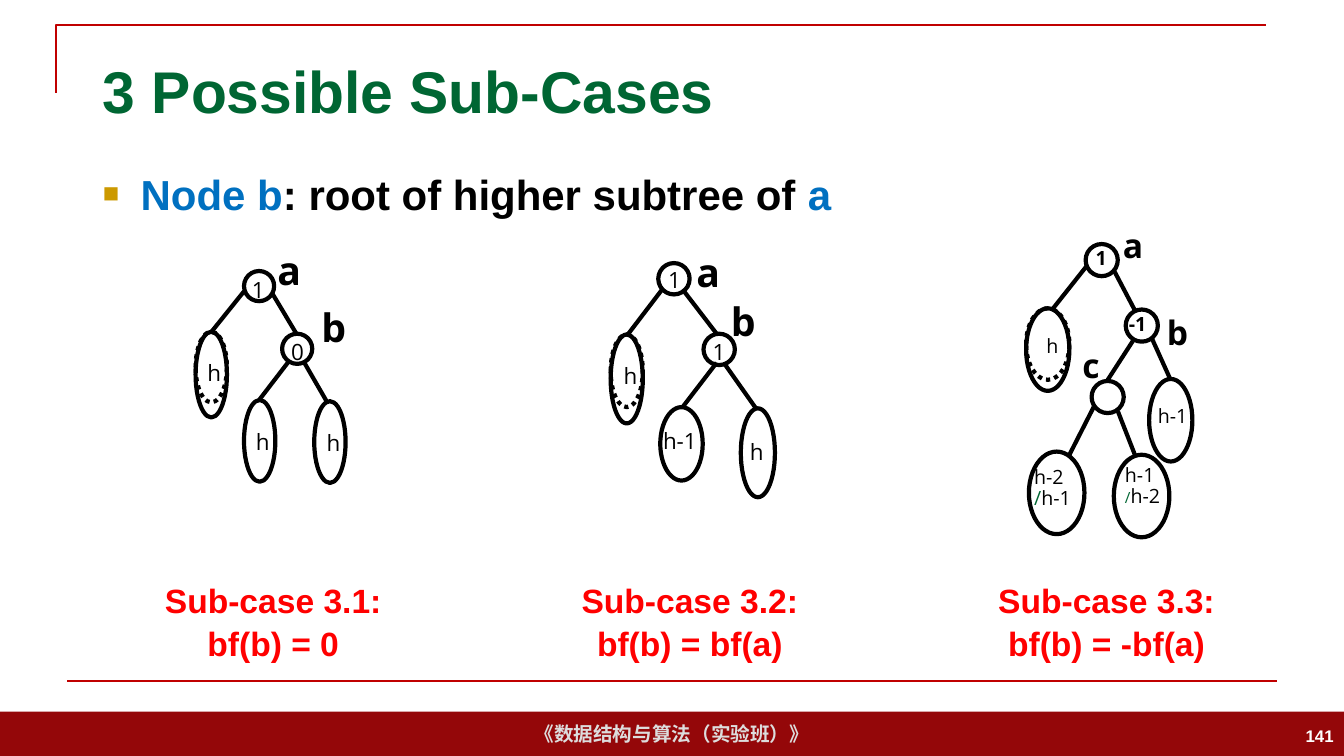
from lxml import etree
from pptx import Presentation
from pptx.dml.color import RGBColor
from pptx.enum.dml import MSO_LINE
from pptx.enum.shapes import MSO_CONNECTOR, MSO_SHAPE
from pptx.enum.text import MSO_ANCHOR, MSO_AUTO_SIZE, PP_ALIGN
from pptx.oxml.ns import qn
from pptx.util import Cm, Pt

STRAIGHT = MSO_CONNECTOR.STRAIGHT
OVAL, RECTANGLE = MSO_SHAPE.OVAL, MSO_SHAPE.RECTANGLE
DOTTED = MSO_LINE.ROUND_DOT
TOP, MIDDLE = MSO_ANCHOR.TOP, MSO_ANCHOR.MIDDLE
LEFT, CENTER, RIGHT = PP_ALIGN.LEFT, PP_ALIGN.CENTER, PP_ALIGN.RIGHT
NO_AUTOFIT = MSO_AUTO_SIZE.NONE

COLORS = {
    "black": "000000", "white": "FFFFFF", "green": "006633", "blue": "0070C0",
    "red": "FF0000", "rule": "C00000", "footer": "940709",
    "footer_text": "DDDDDD", "bullet": "CC9900",
}
HEADING_FONT, TREE_FONT = "Arial", "Open Sans"

TREES = [
    {
        "diameter": 0.76, "value_size": 16, "name_size": 28, "bold_balance": False,
        "nodes": [(6.15, 6.83), (7.11, 8.41)],
        "subtrees": [(4.93, 8.36, 0.79, 2.16), (6.15, 10.08, 0.79, 2.06),
                     (7.92, 10.11, 0.79, 2.06)],
        "dotted_height": 1.78,
        "edges": [(6.15, 7.34, 5.33, 8.36), (6.86, 7.39, 7.47, 8.41),
                  (7.29, 9.09, 6.53, 10.08), (7.67, 9.14, 8.23, 10.11)],
        "balances": [("1", 6.35, 6.96), ("0", 7.34, 8.53)],
        "heights": [("h", 5.23, 9.04), ("h", 6.45, 10.8), ("h", 8.23, 10.82)],
        "names": [("a", 6.99, 6.2), ("b", 8.1, 7.65)],
        "choices": [],
        "caption": "Sub-case 3.1:\nbf(b) = 0",
    },
    {
        "diameter": 0.79, "value_size": 16, "name_size": 28, "bold_balance": False,
        "nodes": [(16.59, 6.63), (17.73, 8.41)],
        "subtrees": [(15.39, 8.43, 0.81, 2.24), (16.64, 10.26, 1.07, 1.85),
                     (18.67, 10.29, 0.86, 2.24)],
        "dotted_height": 1.83,
        "edges": [(16.69, 7.29, 15.82, 8.43), (17.2, 7.29, 18.06, 8.41),
                  (18.06, 9.14, 17.2, 10.26), (18.24, 9.14, 19.05, 10.29)],
        "balances": [("1", 16.84, 6.71), ("1", 17.96, 8.51)],
        "heights": [("h", 15.72, 9.12), ("h-1", 16.71, 10.77), ("h", 18.9, 11.05)],
        "names": [("a", 17.55, 6.25), ("b", 18.42, 7.49)],
        "choices": [],
        "caption": "Sub-case 3.2:\nbf(b) = bf(a)",
    },
    {
        "diameter": 0.81, "value_size": 14, "name_size": 24, "bold_balance": True,
        "nodes": [(27.36, 6.15), (28.37, 7.8), (27.51, 9.6)],
        "subtrees": [(25.86, 7.77, 1.09, 2.08), (28.96, 9.55, 1.09, 2.08),
                     (25.93, 11.38, 1.4, 2.08), (28.07, 11.46, 1.4, 2.08)],
        "dotted_height": 1.8,
        "edges": [(27.38, 6.71, 26.54, 7.77), (28.07, 6.81, 28.6, 7.82),
                  (28.55, 8.59, 27.91, 9.58), (29.03, 8.53, 29.49, 9.55),
                  (27.56, 10.26, 26.95, 11.46), (28.17, 10.36, 28.6, 11.46)],
        "balances": [("1", 27.61, 6.2), ("-1", 28.45, 7.87)],
        "heights": [("h", 26.37, 8.41), ("h-1", 29.18, 10.19)],
        "names": [("a", 28.3, 5.66), ("b", 29.41, 7.85), ("c", 27.28, 8.69)],
        "choices": [("h-2", "h-1", 26.06, 11.79, 14), ("h-1", "h-2", 28.35, 11.73, 11)],
        "caption": "Sub-case 3.3:\nbf(b) = -bf(a)",
    },
]


def rgb(name):
    return RGBColor.from_string(COLORS[name])


def style_font(font, name, size, color, bold=False):
    font.name = name
    font.size = Pt(size)
    font.bold = bold
    font.color.rgb = rgb(color)


def style_line(line, color, width):
    line.color.rgb = rgb(color)
    line.width = Pt(width)


def place(shape, left, top, width, height):
    shape.left, shape.top = Cm(left), Cm(top)
    shape.width, shape.height = Cm(width), Cm(height)


def add_line(shapes, ends, color, width):
    line = shapes.add_connector(STRAIGHT, *[Cm(value) for value in ends])
    style_line(line.line, color, width)
    etree.SubElement(line._element.spPr, qn("a:effectLst"))


def add_oval(shapes, box, dash=None):
    oval = shapes.add_shape(OVAL, *[Cm(value) for value in box])
    oval.shadow.inherit = False
    oval.fill.background()
    style_line(oval.line, "black", 3)
    if dash:
        oval.line.dash_style = dash


def add_text(shapes, text, box, font, align=LEFT, anchor=TOP, inset=0, spacing=None):
    frame = shapes.add_textbox(*[Cm(value) for value in box]).text_frame
    frame.word_wrap = True
    frame.vertical_anchor = anchor
    frame.margin_left = frame.margin_right = Cm(inset)
    frame.margin_top = frame.margin_bottom = Cm(inset / 2)
    frame.text = text
    for paragraph in frame.paragraphs:
        paragraph.alignment = align
        if spacing:
            paragraph.line_spacing = spacing
        for run in paragraph.runs:
            style_font(run.font, *font)
    return frame


def add_label(shapes, label, size, bold=False):
    text, left, top = label
    width = 0.41 if len(text) == 1 else 1.14
    add_text(shapes, text, (left, top, width, 0.69), (TREE_FONT, size, "black", bold))


def add_choice(shapes, choice, size):
    first, second, left, top, slash_size = choice
    frame = add_text(shapes, f"{first}\n/", (left, top, 1.19, 2.16),
                     (TREE_FONT, size, "black"), spacing=0.9)
    paragraph = frame.paragraphs[1]
    style_font(paragraph.runs[0].font, TREE_FONT, slash_size, "green")
    run = paragraph.add_run()
    run.text = second
    style_font(run.font, TREE_FONT, size, "black")


def add_tree(slide, tree):
    shapes = slide.shapes.add_group_shape().shapes
    size, diameter = tree["value_size"], tree["diameter"]
    for edge in tree["edges"]:
        add_line(shapes, edge, "black", 3)
    add_oval(shapes, (*tree["subtrees"][0][:3], tree["dotted_height"]), DOTTED)
    for subtree in tree["subtrees"]:
        add_oval(shapes, subtree)
    for node in tree["nodes"]:
        add_oval(shapes, (*node, diameter, diameter))
    for label in tree["balances"]:
        add_label(shapes, label, size, tree["bold_balance"])
    for label in tree["heights"]:
        add_label(shapes, label, size)
    for label in tree["names"]:
        add_label(shapes, label, tree["name_size"], True)
    for choice in tree["choices"]:
        add_choice(shapes, choice, size)


def add_frame(slide):
    bar = slide.shapes.add_shape(RECTANGLE, Cm(0), Cm(17.93), Cm(33.87), Cm(1.12))
    bar.shadow.inherit = False
    bar.fill.solid()
    bar.fill.fore_color.rgb = rgb("footer")
    bar.line.fill.background()
    bar.text_frame.vertical_anchor = MIDDLE
    paragraph = bar.text_frame.paragraphs[0]
    paragraph.text = "《数据结构与算法（实验班）》"
    paragraph.alignment = CENTER
    style_font(paragraph.runs[0].font, HEADING_FONT, 14, "footer_text", True)

    builder = slide.shapes.build_freeform(Cm(1.42), Cm(2.34))
    builder.add_line_segments([(Cm(1.42), Cm(0.64)), (Cm(31.9), Cm(0.64))], close=False)
    corner = builder.convert_to_shape()
    corner.shadow.inherit = False
    corner.fill.background()
    style_line(corner.line, "rule", 1.5)
    add_line(slide.shapes, (1.7, 17.15, 32.18, 17.15), "rule", 1.5)
    add_text(slide.shapes, "141", (26.24, 18.03, 7.62, 1.02),
             (HEADING_FONT, 12, "white", True), RIGHT, MIDDLE, 0.25)


def fill_title(slide):
    title = slide.shapes.title
    place(title, 2.34, 1.02, 29.21, 2.51)
    frame = title.text_frame
    frame.text = "3 Possible Sub-Cases"
    frame.auto_size = NO_AUTOFIT
    frame.vertical_anchor = MIDDLE
    frame.paragraphs[0].alignment = LEFT
    style_font(frame.paragraphs[0].runs[0].font, HEADING_FONT, 42, "green", True)


def set_bullet(paragraph):
    properties = paragraph._p.get_or_add_pPr()
    properties.set("marL", str(Cm(0.95)))
    properties.set("indent", str(Cm(-0.95)))
    color = etree.SubElement(properties, qn("a:buClr"))
    etree.SubElement(color, qn("a:srgbClr"), val=COLORS["bullet"])
    etree.SubElement(properties, qn("a:buSzPct"), val="65000")
    etree.SubElement(properties, qn("a:buFont"), typeface=HEADING_FONT)
    etree.SubElement(properties, qn("a:buChar"), char="■")


def fill_body(slide):
    body = slide.placeholders[1]
    place(body, 2.34, 4.11, 29.21, 13.08)
    body.text_frame.auto_size = NO_AUTOFIT
    paragraph = body.text_frame.paragraphs[0]
    set_bullet(paragraph)
    paragraph.space_before = Pt(0)
    for text, color in (("Node b", "blue"), (": root of higher subtree of ", "black"),
                        ("a", "blue")):
        run = paragraph.add_run()
        run.text = text
        style_font(run.font, HEADING_FONT, 30, color, True)


def main():
    presentation = Presentation()
    presentation.slide_width, presentation.slide_height = Cm(33.87), Cm(19.05)
    slide = presentation.slides.add_slide(presentation.slide_layouts[1])
    add_frame(slide)
    fill_title(slide)
    fill_body(slide)
    for index, tree in enumerate(TREES):
        add_tree(slide, tree)
        add_text(slide.shapes, tree["caption"], (3.66 + 10.5 * index, 14.53, 6.45, 1.14),
                 (HEADING_FONT, 24, "red", True), CENTER, spacing=1.07)
    presentation.save("out.pptx")


if __name__ == "__main__":
    main()
